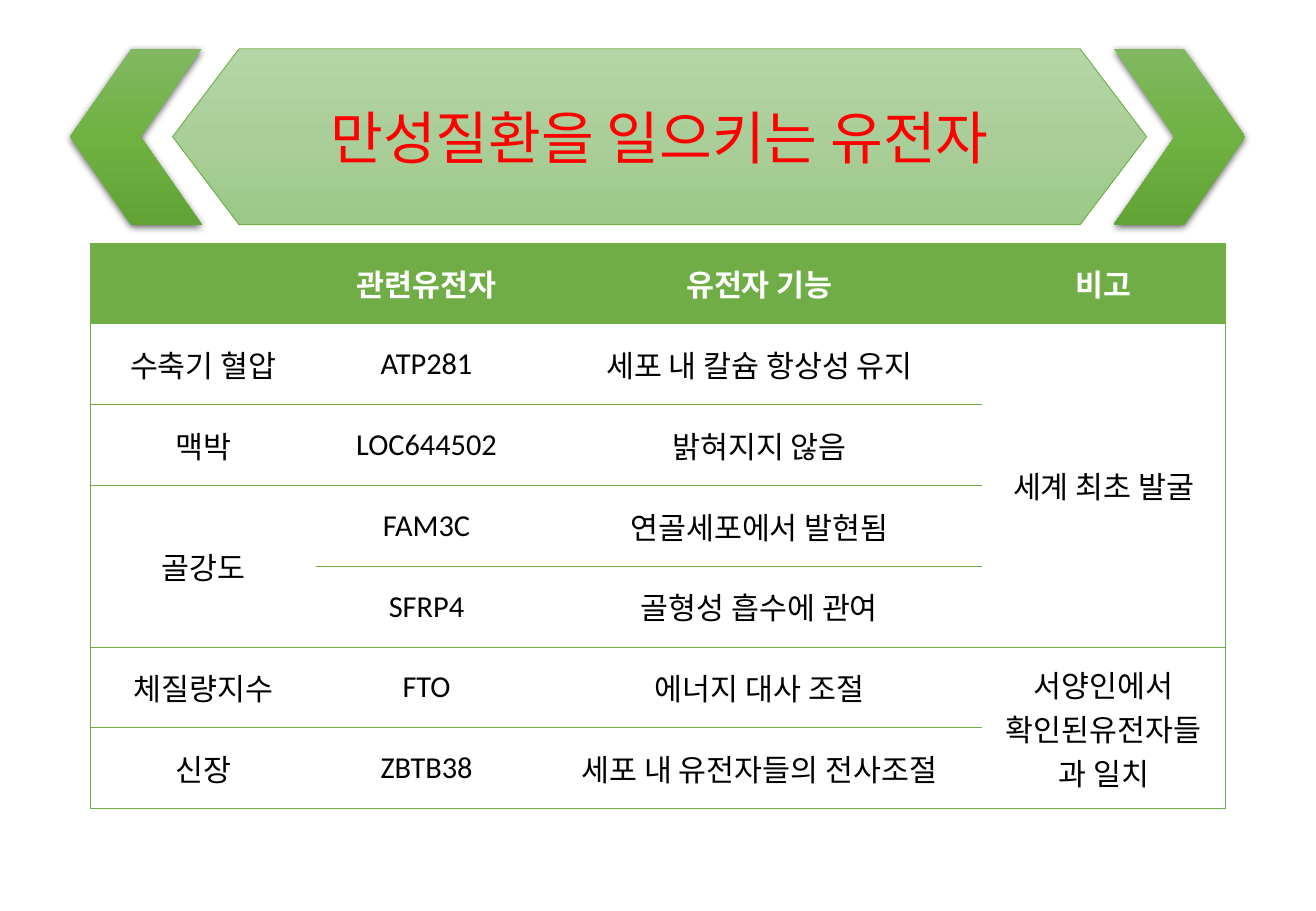
import copy

import lxml.etree
import pptx
import pptx.dml.color
import pptx.enum.shapes
import pptx.enum.text
import pptx.oxml
import pptx.oxml.ns
import pptx.util

Cm = pptx.util.Cm
RGBColor = pptx.dml.color.RGBColor
SHAPE = pptx.enum.shapes.MSO_SHAPE
MIDDLE = pptx.enum.text.MSO_ANCHOR.MIDDLE
qn = pptx.oxml.ns.qn

GREEN = RGBColor(0x70, 0xAD, 0x47)
WHITE = RGBColor(0xFF, 0xFF, 0xFF)
BLACK = RGBColor(0x00, 0x00, 0x00)
RED = RGBColor(0xFF, 0x00, 0x00)
PALE = [RGBColor(0xB5, 0xD5, 0xA7), RGBColor(0xAA, 0xCE, 0x9A), RGBColor(0x9C, 0xC9, 0x87)]
DEEP = [RGBColor(0x81, 0xB8, 0x61), RGBColor(0x6F, 0xB2, 0x42), RGBColor(0x62, 0xA3, 0x36)]
KOREAN = "Noto Sans CJK KR"

BANNER_TOP, BANNER_HEIGHT = 1.02, 3.68
COLUMN_WIDTHS = [4.72, 4.62, 9.3, 5.1]
ROW_HEIGHT = 1.69
ROWS = [
    ["", "관련유전자", "유전자 기능", "비고"],
    ["수축기 혈압", "ATP281", "세포 내 칼슘 항상성 유지", "세계 최초 발굴"],
    ["맥박", "LOC644502", "밝혀지지 않음", ""],
    ["골강도", "FAM3C", "연골세포에서 발현됨", ""],
    ["", "SFRP4", "골형성 흡수에 관여", ""],
    ["체질량지수", "FTO", "에너지 대사 조절", "서양인에서 확인된유전자들과 일치"],
    ["신장", "ZBTB38", "세포 내 유전자들의 전사조절", ""],
]
MERGES = [(1, 4, 3), (3, 4, 0), (5, 6, 3)]


def write(tf, text, size=18, color=BLACK, bold=False, font="Calibri"):
    p = tf.paragraphs[0]
    p.alignment = pptx.enum.text.PP_ALIGN.CENTER
    r = p.add_run()
    r.text = text
    r.font.size = pptx.util.Pt(size)
    r.font.bold = bold
    r.font.color.rgb = color
    r.font.name = font
    ea = lxml.etree.SubElement(r.font._element, qn("a:ea"))
    ea.set("typeface", KOREAN)


class GeneSlide:
    def __init__(self, prs):
        self.slide = prs.slides.add_slide(prs.slide_layouts[5])
        self.line_color = GREEN
        self.line_width = pptx.util.Pt(0.5)

    def shape(self, kind, left, width, adjustment, colors):
        sp = self.slide.shapes.add_shape(
            kind, Cm(left), Cm(BANNER_TOP), Cm(width), Cm(BANNER_HEIGHT))
        sp.shadow.inherit = False
        sp.adjustments[0] = adjustment
        sp.fill.gradient()
        sp.fill.gradient_angle = 270
        stops = sp._element.spPr.find(".//" + qn("a:gsLst"))
        stops.insert(1, copy.deepcopy(stops[0]))
        for i, (stop, color) in enumerate(zip(sp.fill.gradient_stops, colors)):
            stop.position = i / 2
            stop.color.rgb = color
        return sp

    def banner(self, left, width):
        sp = self.shape(SHAPE.HEXAGON, left, width, 0.378, PALE)
        sp.line.color.rgb = self.line_color
        sp.line.width = self.line_width

    def chevron(self, left, flip=False):
        sp = self.shape(SHAPE.CHEVRON, left, 2.75, 0.465, DEEP)
        sp.line.fill.background()
        spPr = sp._element.spPr
        if flip:
            spPr.find(qn("a:xfrm")).set("flipH", "1")
        spPr.find(qn("a:effectLst")).append(pptx.oxml.parse_xml(
            f'<a:outerShdw {pptx.oxml.ns.nsdecls("a")} blurRad="57150" dist="19050" '
            'dir="5400000" algn="ctr" rotWithShape="0"><a:srgbClr val="000000">'
            '<a:alpha val="63000"/></a:srgbClr></a:outerShdw>'))

    def title(self, text, left, width):
        sp = self.slide.shapes.title
        sp.left, sp.top = Cm(left), Cm(BANNER_TOP)
        sp.width, sp.height = Cm(width), Cm(BANNER_HEIGHT)
        tf = sp.text_frame
        tf.word_wrap = True
        tf.auto_size = pptx.enum.text.MSO_AUTO_SIZE.NONE
        tf.vertical_anchor = MIDDLE
        write(tf, text, size=34, color=RED, font=KOREAN)
        tree = self.slide.shapes._spTree
        tree.remove(sp._element)
        tree.append(sp._element)

    def borders(self, cell, visible):
        tcPr = cell._tc.get_or_add_tcPr()
        for i, side in enumerate("LRTB"):
            ln = pptx.oxml.parse_xml(
                f'<a:ln{side} {pptx.oxml.ns.nsdecls("a")} w="{self.line_width}"/>')
            if side in visible:
                fill = lxml.etree.SubElement(ln, qn("a:solidFill"))
                color = lxml.etree.SubElement(fill, qn("a:srgbClr"))
                color.set("val", str(self.line_color))
            else:
                lxml.etree.SubElement(ln, qn("a:noFill"))
            tcPr.insert(i, ln)

    def table(self, left, top):
        frame = self.slide.shapes.add_table(
            len(ROWS), len(COLUMN_WIDTHS), Cm(left), Cm(top),
            Cm(sum(COLUMN_WIDTHS)), Cm(ROW_HEIGHT * len(ROWS)))
        table = frame.table
        table.first_row = table.horz_banding = False
        for column, width in zip(table.columns, COLUMN_WIDTHS):
            column.width = Cm(width)
        for first, last, col in MERGES:
            table.cell(first, col).merge(table.cell(last, col))
        for i, texts in enumerate(ROWS):
            table.rows[i].height = Cm(ROW_HEIGHT)
            for j, text in enumerate(texts):
                self.cell(table.cell(i, j), text, i == 0, {0: "L", 3: "R"}.get(j, ""))

    def cell(self, cell, text, header, edge):
        cell.vertical_anchor = MIDDLE
        if header:
            cell.fill.solid()
            cell.fill.fore_color.rgb = GREEN
        else:
            cell.fill.background()
        self.borders(cell, edge if cell.is_spanned else edge + "TB")
        if text:
            write(cell.text_frame, text, color=WHITE if header else BLACK, bold=header)


def main():
    prs = pptx.Presentation()
    prs.slide_width, prs.slide_height = Cm(27.52), Cm(19.05)
    page = GeneSlide(prs)
    page.table(1.89, 5.08)
    page.banner(3.61, 20.37)
    page.chevron(23.29)
    page.chevron(1.47, flip=True)
    page.title("만성질환을 일으키는 유전자", 3.61, 20.37)
    prs.save("out.pptx")


if __name__ == "__main__":
    main()
